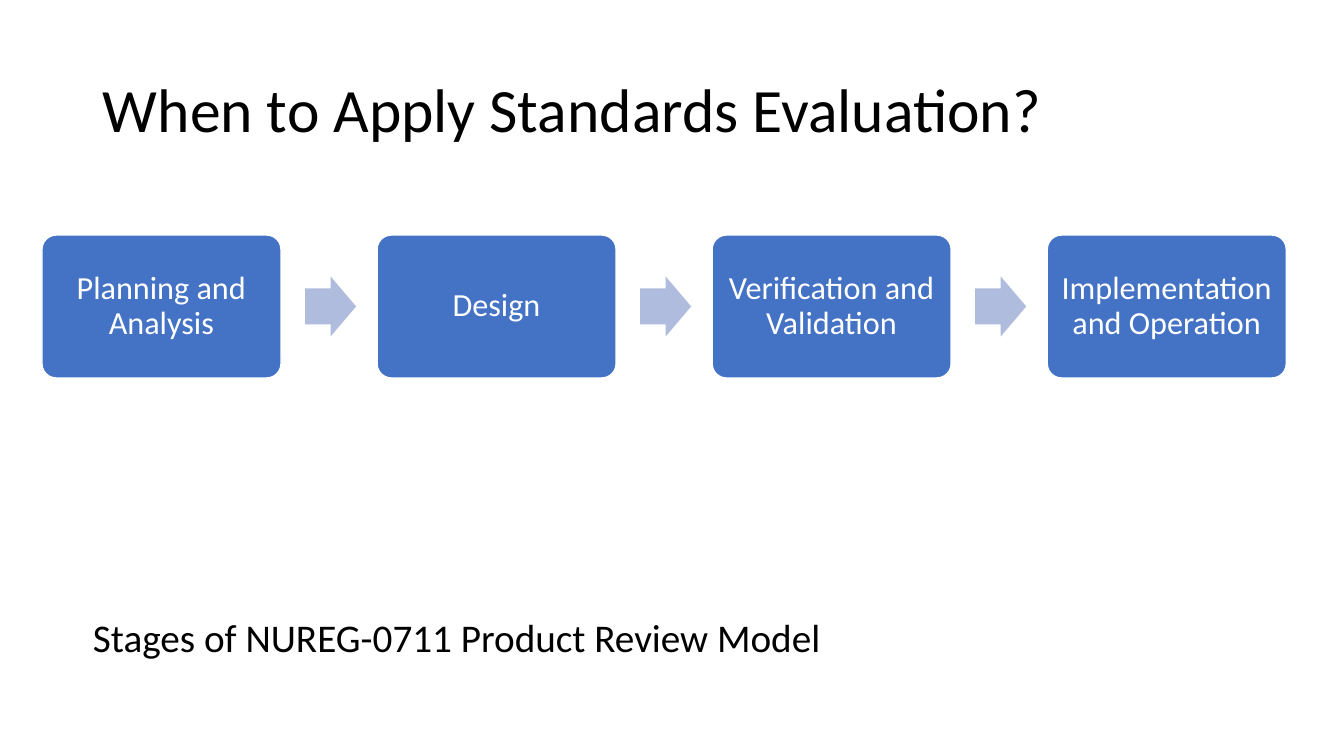
from pptx import Presentation
from pptx.dml.color import RGBColor
from pptx.enum.shapes import MSO_SHAPE as Shape
from pptx.enum.text import MSO_ANCHOR as Anchor, PP_ALIGN as Align
from pptx.util import Inches, Pt

# Content
TITLE = "When to Apply Standards Evaluation?"
STAGES = [
    "Planning and Analysis",
    "Design",
    "Verification and Validation",
    "Implementation and Operation",
]
CAPTION = "Stages of NUREG-0711 Product Review Model"

# Style and layout, in pixels
FONT = "Calibri"
COLORS = {"stage": "4472C4", "arrow": "B0BCDE", "light": "FFFFFF", "dark": "000000"}
SCALE = Inches(1) / 100.8
TITLE_BOX = (93, 40, 1159, 146)
CAPTION_BOX = (83, 614, 1159, 287)
STAGE_LEFT, STAGE_TOP, STAGE_WIDTH, STAGE_HEIGHT = 42, 235, 239, 143
STAGE_PITCH = 335
ARROW_OFFSET, ARROW_WIDTH, ARROW_HEIGHT = 263, 51, 60
STAGE_INSET = 9


def px(length):
    return round(length * SCALE)


def color(name):
    return RGBColor.from_string(COLORS[name])


def write(shape, text, size, color_name, anchor, align=Align.LEFT, space_before=0):
    frame = shape.text_frame
    frame.word_wrap = True
    frame.vertical_anchor = anchor
    paragraph = frame.paragraphs[0]
    paragraph.text = text
    paragraph.alignment = align
    paragraph.line_spacing = 0.9
    paragraph.space_before = Pt(space_before)
    paragraph.font.name = FONT
    paragraph.font.size = Pt(size)
    paragraph.font.color.rgb = color(color_name)


def add_filled(kind, box, fill, adjustments):
    shape = slide.shapes.add_shape(kind, *map(px, box))
    shape.shadow.inherit = False
    shape.fill.solid()
    shape.fill.fore_color.rgb = color(fill)
    shape.line.fill.background()
    for index, value in enumerate(adjustments):
        shape.adjustments[index] = value
    return shape


presentation = Presentation()
presentation.slide_width = Inches(13.33)
presentation.slide_height = Inches(7.5)
slide = presentation.slides.add_slide(presentation.slide_layouts[6])

# Stages, each followed by an arrow except the last
for index, stage in enumerate(STAGES):
    left = STAGE_LEFT + index * STAGE_PITCH
    box = (left, STAGE_TOP, STAGE_WIDTH, STAGE_HEIGHT)
    shape = add_filled(Shape.ROUNDED_RECTANGLE, box, "stage", [0.1])
    shape.line.color.rgb = color("light")
    shape.line.width = Pt(1)
    frame = shape.text_frame
    frame.margin_left = frame.margin_right = px(STAGE_INSET)
    frame.margin_top = frame.margin_bottom = px(STAGE_INSET)
    write(shape, stage, 23, "light", Anchor.MIDDLE, Align.CENTER)
    if index < len(STAGES) - 1:
        arrow_top = STAGE_TOP + (STAGE_HEIGHT - ARROW_HEIGHT) / 2
        arrow_box = (left + ARROW_OFFSET, arrow_top, ARROW_WIDTH, ARROW_HEIGHT)
        add_filled(Shape.RIGHT_ARROW, arrow_box, "arrow", [0.6, 0.5])

# Title and caption
title = slide.shapes.add_textbox(*map(px, TITLE_BOX))
write(title, TITLE, 44, "dark", Anchor.MIDDLE)
caption = slide.shapes.add_textbox(*map(px, CAPTION_BOX))
write(caption, CAPTION, 28, "dark", Anchor.TOP, space_before=10)

presentation.save("out.pptx")
